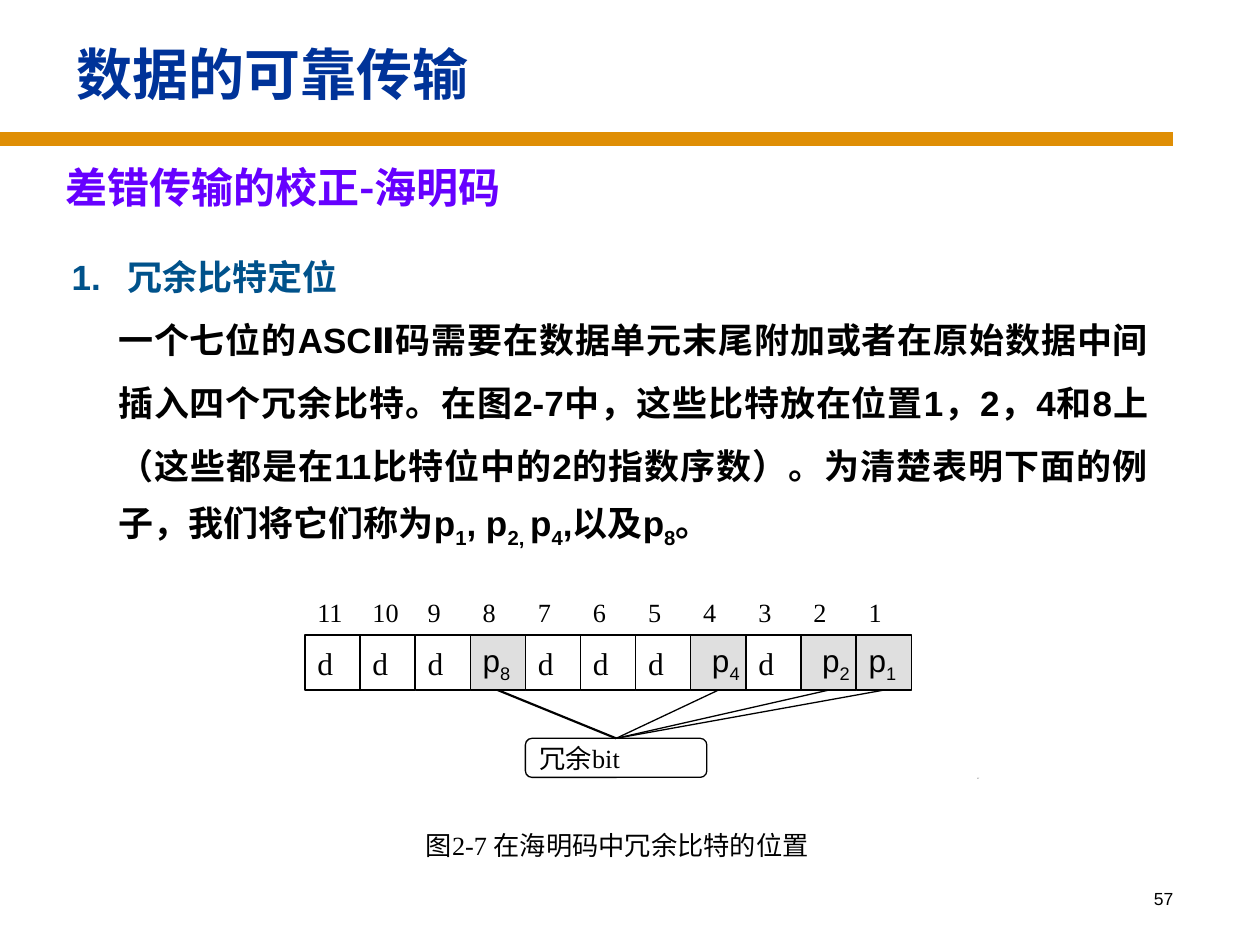
from lxml.etree import SubElement
from pptx import Presentation
from pptx.dml.color import RGBColor
from pptx.enum.shapes import MSO_CONNECTOR, MSO_SHAPE
from pptx.enum.text import MSO_ANCHOR, PP_ALIGN
from pptx.oxml.ns import qn
from pptx.util import Inches, Pt

COLORS = {
    "black": "000000",
    "white": "FFFFFF",
    "parity": "C0C0C0",
    "rule": "DF8E05",
    "title": "003399",
    "subtitle": "6600FF",
    "heading": "00528B",
}
SERIF = "Times New Roman"
SANS = "Arial"
CJK = "Noto Sans CJK SC"

prs = Presentation()
prs.slide_width = Inches(10)
prs.slide_height = Inches(7.5)
slide = prs.slides.add_slide(prs.slide_layouts[6])
shapes = slide.shapes


def write(paragraph, pieces, size, font, color="black", bold=False, align=PP_ALIGN.LEFT):
    paragraph.alignment = align
    paragraph.font.size = Pt(size)
    paragraph.font.name = font
    paragraph.font.bold = bold
    paragraph.font.color.rgb = RGBColor.from_string(COLORS[color])
    for position, piece in enumerate(pieces):
        run = paragraph.add_run()
        run.text = piece
        properties = run._r.get_or_add_rPr()
        if position % 2:
            properties.set("baseline", "-25000")
        SubElement(properties, qn("a:ea")).set("typeface", CJK)


def add_box(kind, left, top, width, height, fill, line, pieces, size, font, align=PP_ALIGN.LEFT):
    box = shapes.add_shape(kind, Inches(left), Inches(top), Inches(width), Inches(height))
    box.shadow.inherit = False
    box.fill.solid()
    box.fill.fore_color.rgb = RGBColor.from_string(COLORS[fill])
    tint = box.fill._xPr.find(qn("a:solidFill"))[0]
    SubElement(tint, qn("a:alpha")).set("val", "50000")
    box.line.color.rgb = RGBColor.from_string(COLORS[line])
    box.line.width = Pt(0.75)
    frame = box.text_frame
    frame.word_wrap = True
    frame.vertical_anchor = MSO_ANCHOR.MIDDLE
    frame.margin_top = frame.margin_bottom = frame.margin_right = 0
    frame.margin_left = Inches(0.1)
    write(frame.paragraphs[0], pieces, size, font, align=align)


CELL = 0.4375
ROW_LEFT = 2.42
ROW_TOP = 5.04
BITS = 11
parity_pieces = {8: ["p", "8"], 4: [" p", "4"], 2: [" p", "2"], 1: ["p", "1"]}
callout_center, callout_top = 4.89, 5.86
connections = [("rule", 8, 0, 1.1, 9.31, 1.1)]

for column in range(BITS):
    bit = BITS - column
    left = ROW_LEFT + column * CELL
    is_parity = bit in parity_pieces
    add_box(MSO_SHAPE.RECTANGLE, left, 4.73, CELL, 0.25, "white", "white", [str(bit)], 15, SERIF)
    add_box(MSO_SHAPE.RECTANGLE, left, ROW_TOP, CELL, CELL,
            "parity" if is_parity else "white", "black",
            parity_pieces.get(bit, ["d"]), 18, SANS if is_parity else SERIF)
    if is_parity:
        connections.append(("black", 1.25 if bit == 8 else 0.75,
                            left + CELL / 2, ROW_TOP + CELL, callout_center, callout_top))

add_box(MSO_SHAPE.FLOWCHART_ALTERNATE_PROCESS, 4.17, callout_top, 1.44, 0.31,
        "white", "black", ["冗余bit"], 15, SERIF)
add_box(MSO_SHAPE.RECTANGLE, 1.91, 6.55, 5.88, 0.31, "white", "white",
        ["图2-7 在海明码中冗余比特的位置"], 15, SERIF, PP_ALIGN.CENTER)

for color, weight, x1, y1, x2, y2 in connections:
    connector = shapes.add_connector(
        MSO_CONNECTOR.STRAIGHT, Inches(x1), Inches(y1), Inches(x2), Inches(y2))
    connector.line.color.rgb = RGBColor.from_string(COLORS[color])
    connector.line.width = Pt(weight)
    SubElement(connector._element.spPr, qn("a:effectLst"))

labels = [
    (0.51, 0.16, 8.91, 0.84, "数据的可靠传输", 32, SERIF, "title", True, PP_ALIGN.LEFT, MSO_ANCHOR.MIDDLE),
    (0.42, 1.23, 5.79, 0.5, "差错传输的校正-海明码", 24, CJK, "subtitle", True, PP_ALIGN.LEFT, MSO_ANCHOR.TOP),
    (7.33, 7, 2.08, 0.5, "57", 10, SANS, "black", False, PP_ALIGN.RIGHT, MSO_ANCHOR.TOP),
    (7.66, 6.12, 2.33, 0.39, "57", 1, SANS, "black", False, PP_ALIGN.LEFT, MSO_ANCHOR.TOP),
]
for left, top, width, height, text, size, font, color, bold, align, anchor in labels:
    label = shapes.add_textbox(Inches(left), Inches(top), Inches(width), Inches(height)).text_frame
    label.word_wrap = True
    label.vertical_anchor = anchor
    write(label.paragraphs[0], [text], size, font, color, bold, align)

body = shapes.add_textbox(Inches(0.36), Inches(1.81), Inches(8.85), Inches(2.75)).text_frame
body.word_wrap = True
heading = body.paragraphs[0]
write(heading, ["1.\t冗余比特定位"], 20, SANS, "heading", True)
explanation = body.add_paragraph()
write(explanation, [
    "一个七位的ASCⅡ码需要在数据单元末尾附加或者在原始数据中间插入四个冗余比特。"
    "在图2-7中，这些比特放在位置1，2，4和8上（这些都是在11比特位中的2的指数序数）。"
    "为清楚表明下面的例子，我们将它们称为p",
    "1", ", p", "2, ", "p", "4", ",以及p", "8", "。",
], 20, SANS, bold=True, align=PP_ALIGN.JUSTIFY)
for paragraph, margin, indent in ((heading, 0.55, -0.44), (explanation, 0.48, 0)):
    paragraph.line_spacing = Pt(36)
    properties = paragraph._p.get_or_add_pPr()
    properties.set("marL", str(Inches(margin)))
    properties.set("indent", str(Inches(indent)))

prs.save("out.pptx")
